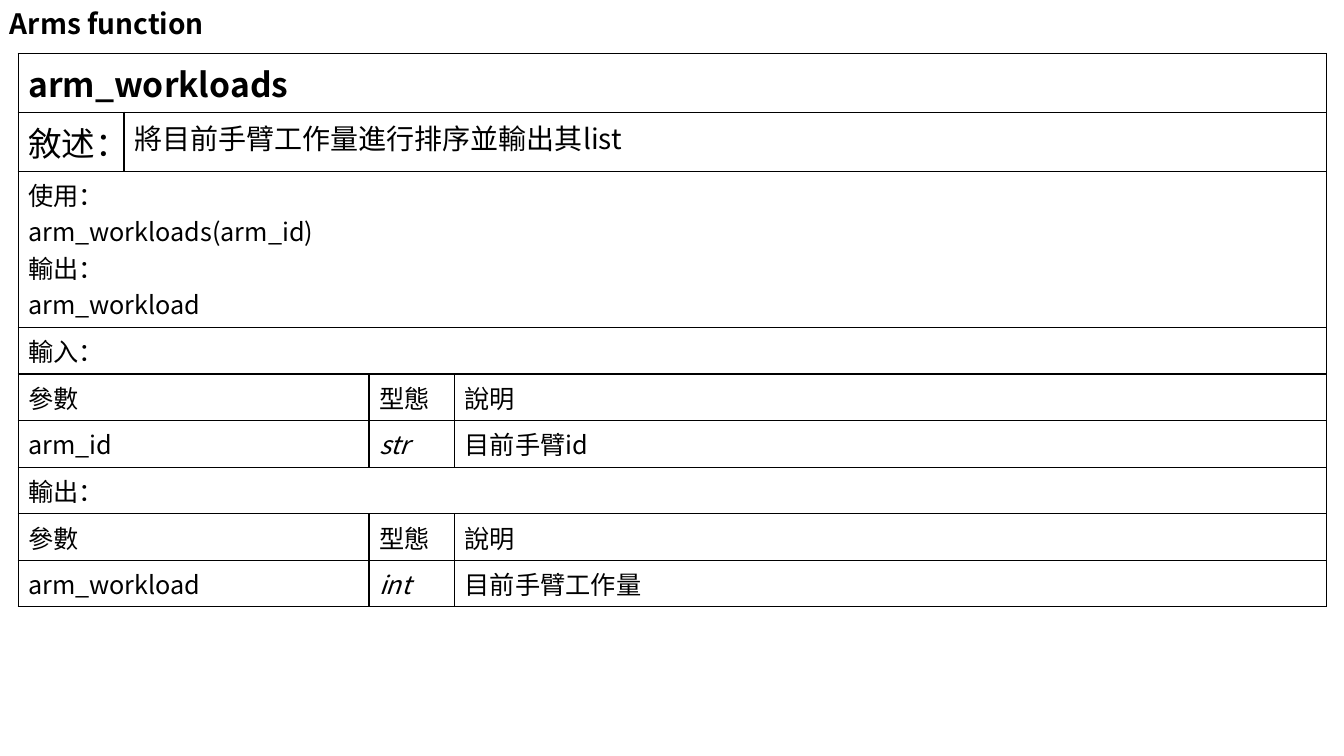
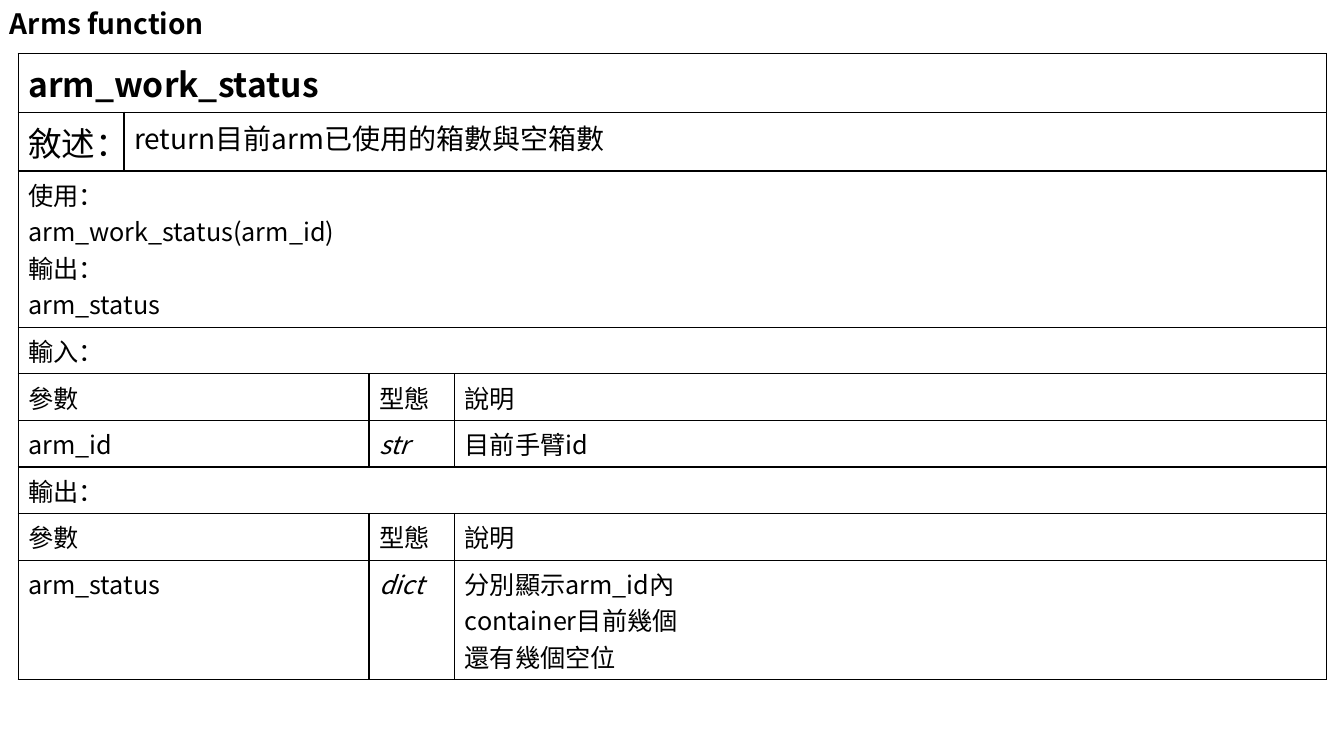
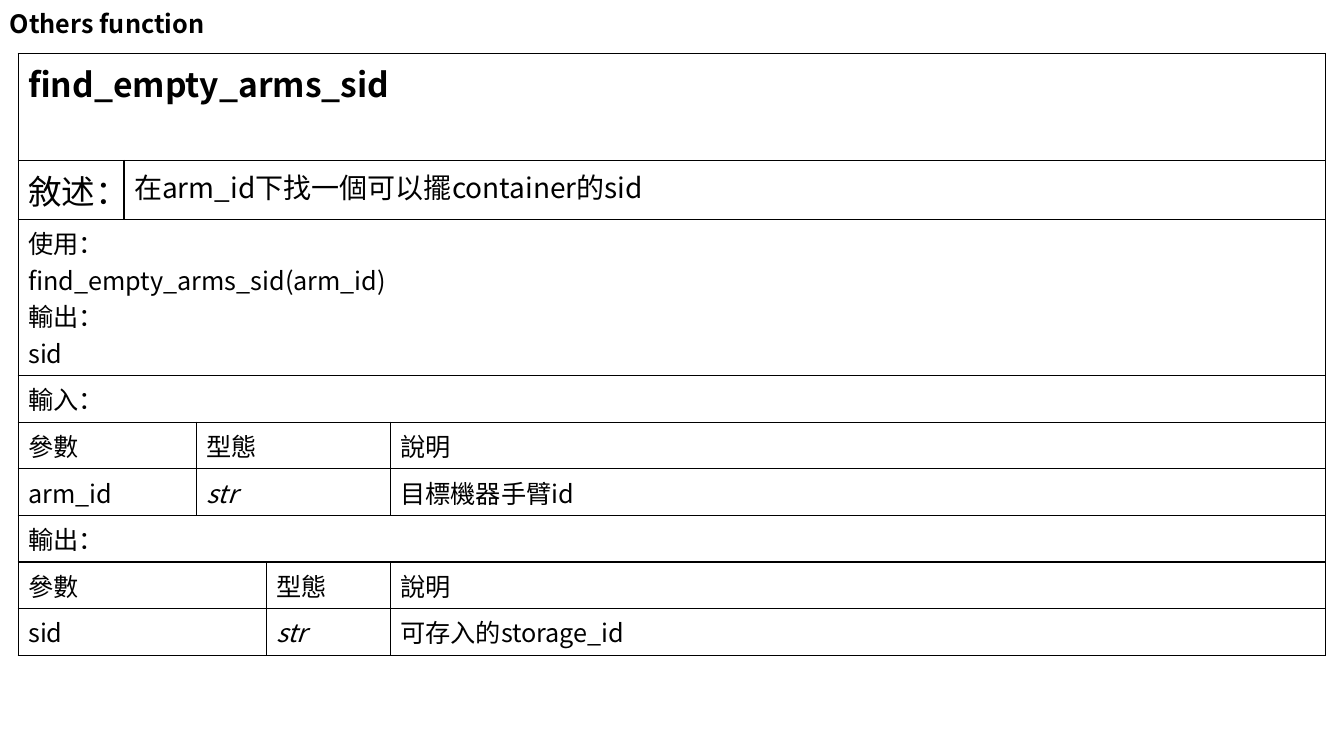
from lxml import etree
from pptx import Presentation
from pptx.dml.color import RGBColor
from pptx.enum import text
from pptx.oxml import ns
from pptx.util import Inches, Pt

COLORS = {"ink": "000000", "paper": "FFFFFF"}
FONT = "Noto Sans CJK TC"
HEADING, SUMMARY, BODY = 24, 20, 18
LINE_SPACING, CELL_PADDING = 1.45, 0.1
TABLE_LEFT, TABLE_TOP = 0.18, 0.53
PARAMETER_HEADER = ("參數", "型態", "說明")
ARM_COLUMNS = (1.05, 2.43, 0.85, 8.65)
SID_COLUMNS = (1.05, 0.72, 0.69, 1.23, 9.28)

FUNCTIONS = [
    {
        "title": "Arms function", "title_size": 20,
        "name": "arm_workloads", "name_gap": 0,
        "summary": "將目前手臂工作量進行排序並輸出其list",
        "columns": ARM_COLUMNS,
        "input": ("arm_id", "str", "目前手臂id"), "input_starts": (0, 2, 3),
        "output": ("arm_workload", "int", "目前手臂工作量"), "output_starts": (0, 2, 3),
    },
    {
        "title": "Arms function", "title_size": 20,
        "name": "arm_work_status", "name_gap": 0,
        "summary": "return目前arm已使用的箱數與空箱數",
        "columns": ARM_COLUMNS,
        "input": ("arm_id", "str", "目前手臂id"), "input_starts": (0, 2, 3),
        "output": ("arm_status", "dict", "分別顯示arm_id內\ncontainer目前幾個\n還有幾個空位"),
        "output_starts": (0, 2, 3),
    },
    {
        "title": "Others function", "title_size": 18,
        "name": "find_empty_arms_sid", "name_gap": 0.48,
        "summary": "在arm_id下找一個可以擺container的sid",
        "columns": SID_COLUMNS,
        "input": ("arm_id", "str", "目標機器手臂id"), "input_starts": (0, 2, 4),
        "output": ("sid", "str", "可存入的storage_id"), "output_starts": (0, 3, 4),
    },
]


def write(frame, content, size, bold=False, italic=False, spacing=None):
    for index, line in enumerate(content.split("\n")):
        paragraph = frame.add_paragraph() if index else frame.paragraphs[0]
        paragraph.line_spacing = spacing
        run = paragraph.add_run()
        run.text = line
        font = run.font
        font.name, font.size, font.bold, font.italic = FONT, Pt(size), bold, italic
        font.color.rgb = RGBColor.from_string(COLORS["ink"])
        east_asian = etree.SubElement(run._r.get_or_add_rPr(), ns.qn("a:ea"))
        east_asian.set("typeface", FONT)


def style_cell(cell):
    properties = cell._tc.get_or_add_tcPr()
    for side in ("lnL", "lnR", "lnT", "lnB"):
        border = etree.SubElement(properties, ns.qn("a:" + side), w=str(Pt(1)))
        fill = etree.SubElement(border, ns.qn("a:solidFill"))
        etree.SubElement(fill, ns.qn("a:srgbClr"), val=COLORS["ink"])
    cell.fill.solid()
    cell.fill.fore_color.rgb = RGBColor.from_string(COLORS["paper"])


def table_rows(function):
    usage = f"使用：\n{function['name']}({function['input'][0]})\n輸出：\n{function['output'][0]}"
    rows = [
        ((0,), (function["name"],), (HEADING,)),
        ((0, 1), ("敘述：", function["summary"]), (HEADING, SUMMARY)),
        ((0,), (usage,), (BODY,)),
    ]
    for label, key in (("輸入：", "input"), ("輸出：", "output")):
        starts = function[key + "_starts"]
        rows.append(((0,), (label,), (BODY,)))
        rows.append((starts, PARAMETER_HEADER, (BODY,) * 3))
        rows.append((starts, function[key], (BODY,) * 3))
    return rows


def row_height(contents, sizes):
    return CELL_PADDING + max(
        len(content.split("\n")) * size * LINE_SPACING / 72
        for content, size in zip(contents, sizes))


def add_title(slide, function):
    box = slide.shapes.add_textbox(Inches(0), Inches(0.02), Inches(2.16), Inches(0.47))
    frame = box.text_frame
    frame.word_wrap = True
    frame.vertical_anchor = text.MSO_ANCHOR.MIDDLE
    write(frame, function["title"], function["title_size"], bold=True, spacing=0.9)


def add_function_table(slide, function):
    rows, columns = table_rows(function), function["columns"]
    heights = [row_height(contents, sizes) for starts, contents, sizes in rows]
    heights[0] += function["name_gap"]
    table = slide.shapes.add_table(
        len(rows), len(columns), Inches(TABLE_LEFT), Inches(TABLE_TOP),
        Inches(sum(columns)), Inches(sum(heights))).table
    table.first_row = table.horz_banding = False
    for column, width in zip(table.columns, columns):
        column.width = Inches(width)
    for row, height in zip(table.rows, heights):
        row.height = Inches(height)
    for cell in table.iter_cells():
        style_cell(cell)
    for row_index, (starts, contents, sizes) in enumerate(rows):
        ends = starts[1:] + (len(columns),)
        for start, end, content, size in zip(starts, ends, contents, sizes):
            cell = table.cell(row_index, start)
            if end - start > 1:
                cell.merge(table.cell(row_index, end - 1))
            is_type = contents in (function["input"], function["output"]) and start == starts[1]
            write(cell.text_frame, content, size, bold=row_index == 0, italic=is_type)


presentation = Presentation()
presentation.slide_width, presentation.slide_height = Inches(13.33), Inches(7.5)
for function in FUNCTIONS:
    slide = presentation.slides.add_slide(presentation.slide_layouts[6])
    add_function_table(slide, function)
    add_title(slide, function)
presentation.save("out.pptx")
